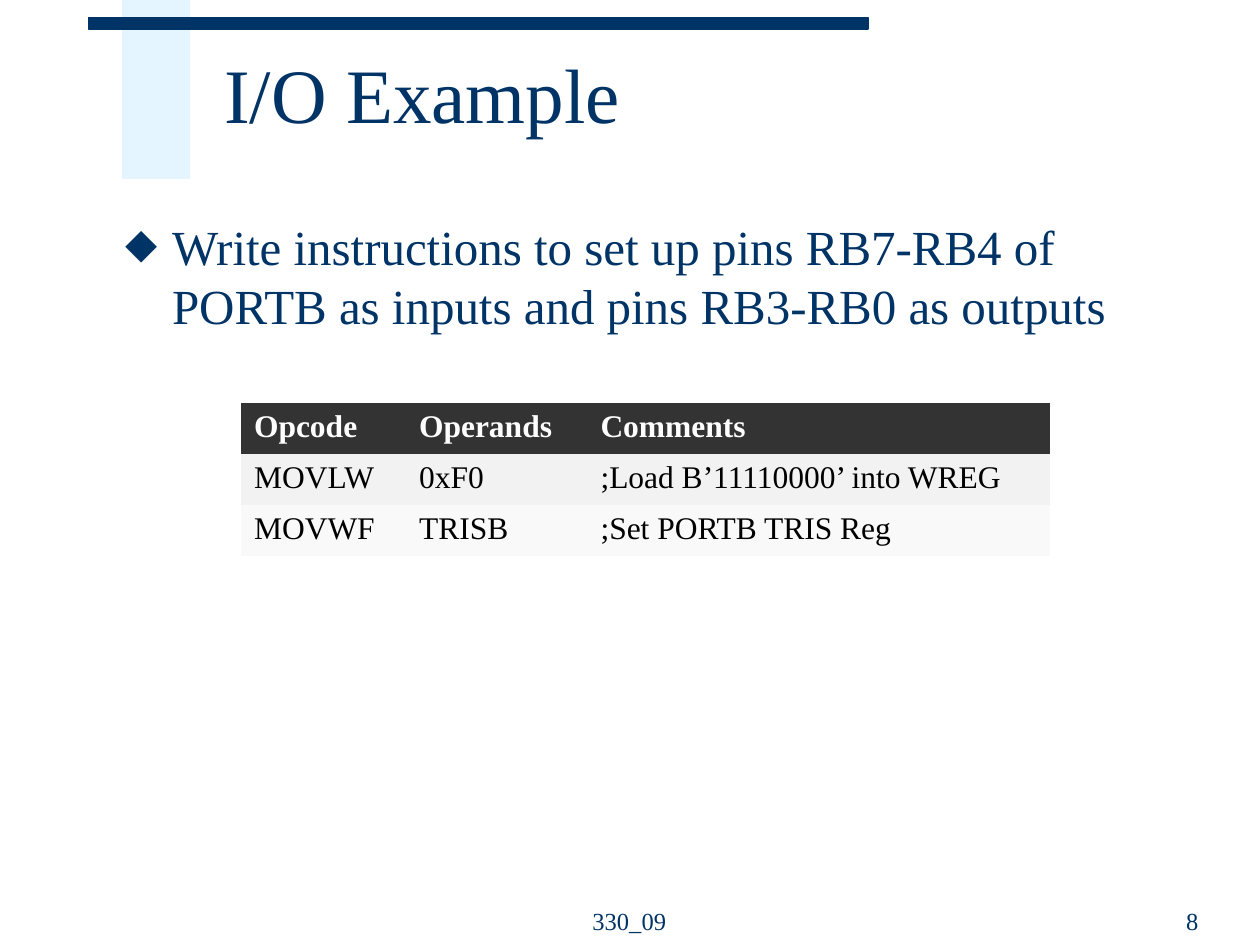
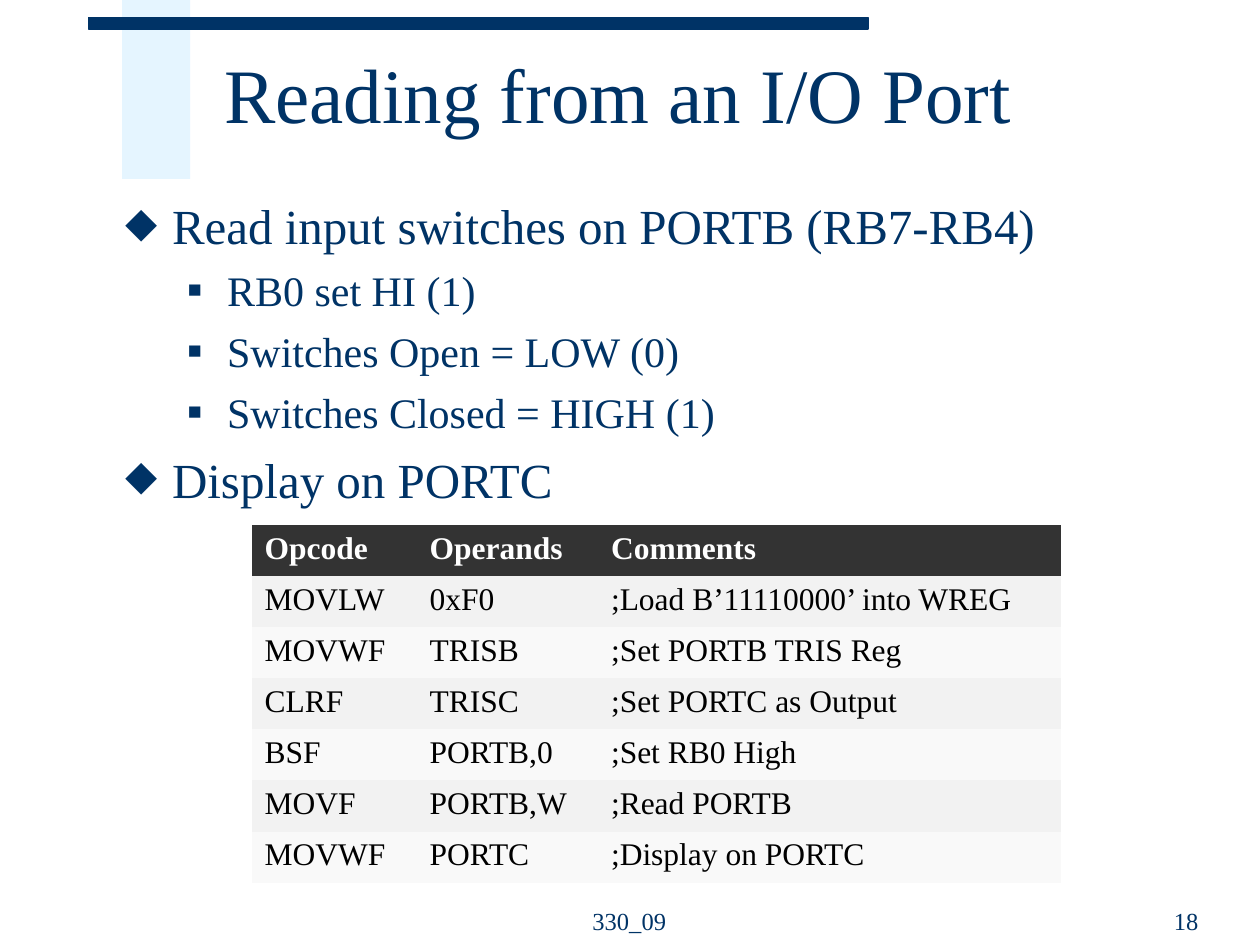
from lxml import etree
from pptx import Presentation, util as u
from pptx.dml import color
from pptx.enum import shapes, text
from pptx.oxml import ns

Pt = u.Pt
NAVY, PALE_BLUE, WHITE, BLACK = "003366", "CCECFF", "FFFFFF", "000000"
HEADER_FILL, ROW_FILLS = "333333", ("F2F2F2", "F9F9F9")
FONT = "Times New Roman"
NO_TABLE_STYLE = "{2D5ABB26-0587-4C30-8999-92F81FD0307C}"
COLUMN_WIDTHS, ROW_HEIGHT = (94.32, 103.68, 264.24), 29.2
LIST_LEVELS = (
    dict(size=28, before=7, margin=27, indent=-27, bullet="⬥", scale=100),
    dict(size=24, before=6, margin=58.5, indent=-22.5, bullet="■", scale=55),
)
COLUMN_TITLES = ("Opcode", "Operands", "Comments")
PORTB_SETUP = (
    ("MOVLW", "0xF0", ";Load B’11110000’ into WREG"),
    ("MOVWF", "TRISB", ";Set PORTB TRIS Reg"),
)
PORTB_READING = PORTB_SETUP + (
    ("CLRF", "TRISC", ";Set PORTC as Output"),
    ("BSF", "PORTB,0", ";Set RB0 High"),
    ("MOVF", "PORTB,W", ";Read PORTB"),
    ("MOVWF", "PORTC", ";Display on PORTC"),
)


def rgb(value):
    return color.RGBColor.from_string(value)


def paint(fill, value):
    fill.solid()
    fill.fore_color.rgb = rgb(value)


def write(paragraph, words, size=18, ink=NAVY, bold=False, align=text.PP_ALIGN.LEFT):
    run = paragraph.add_run()
    run.text = words
    run.font.name, run.font.size, run.font.bold = FONT, Pt(size), bold
    run.font.color.rgb = rgb(ink)
    paragraph.alignment = align


def add_bullet(paragraph, level):
    properties = paragraph._p.get_or_add_pPr()
    properties.set("marL", str(Pt(level["margin"])))
    properties.set("indent", str(Pt(level["indent"])))
    bullet_color = etree.SubElement(properties, ns.qn("a:buClr"))
    etree.SubElement(bullet_color, ns.qn("a:srgbClr"), val=NAVY)
    etree.SubElement(properties, ns.qn("a:buSzPct"), val=str(level["scale"] * 1000))
    etree.SubElement(properties, ns.qn("a:buFont"), typeface=FONT)
    etree.SubElement(properties, ns.qn("a:buChar"), char=level["bullet"])


class Lecture:
    """Holds the lecture style and the slide being built."""

    def __init__(self):
        self.presentation = Presentation()
        self.presentation.slide_width = Pt(720)
        self.presentation.slide_height = Pt(540)
        self.slide = None

    def start_slide(self, title, number):
        layout = self.presentation.slide_layouts[1]
        self.slide = self.presentation.slides.add_slide(layout)
        self.band(69.84, 0, 38.88, 102.24, PALE_BLUE, opacity=50)
        self.band(50.4, 10.08, 445.68, 6.48, NAVY, outlined=True)
        self.title(title)
        self.footer("330_09", 293.76, 131.76, text.PP_ALIGN.CENTER)
        self.footer(number, 519.12, 172.8, text.PP_ALIGN.RIGHT)

    def band(self, left, top, width, height, fill, opacity=100, outlined=False):
        shape = self.slide.shapes.add_shape(
            shapes.MSO_SHAPE.RECTANGLE, Pt(left), Pt(top), Pt(width), Pt(height))
        shape.shadow.inherit = False
        paint(shape.fill, fill)
        if opacity < 100:
            tint = next(shape.element.spPr.iter(ns.qn("a:srgbClr")))
            etree.SubElement(tint, ns.qn("a:alpha"), val=str(opacity * 1000))
        if outlined:
            paint(shape.line.fill, fill)
            shape.line.width = Pt(0.75)
        else:
            shape.line.fill.background()

    def place(self, shape, left, top, width, height, anchor):
        shape.left, shape.top = Pt(left), Pt(top)
        shape.width, shape.height = Pt(width), Pt(height)
        self.slide.shapes.element.append(shape.element)
        frame = shape.text_frame
        frame.word_wrap = True
        frame.auto_size = text.MSO_AUTO_SIZE.NONE
        frame.vertical_anchor = anchor
        return frame

    def title(self, words):
        frame = self.place(self.slide.shapes.title, 120.96, 12.24, 581.04, 90,
                           text.MSO_ANCHOR.MIDDLE)
        write(frame.paragraphs[0], words, size=44)
        frame.paragraphs[0].line_spacing = 0.85

    def bullets(self, top, items):
        frame = self.place(self.slide.placeholders[1], 64.08, top, 626.4, 360,
                           text.MSO_ANCHOR.TOP)
        for index, (depth, words) in enumerate(items):
            paragraph = frame.add_paragraph() if index else frame.paragraphs[0]
            level = LIST_LEVELS[depth]
            paragraph.level = depth
            write(paragraph, words, size=level["size"])
            paragraph.space_before = Pt(level["before"])
            add_bullet(paragraph, level)

    def footer(self, words, left, width, align):
        box = self.slide.shapes.add_textbox(0, 0, 0, 0)
        frame = self.place(box, left, 501.84, width, 36, text.MSO_ANCHOR.BOTTOM)
        write(frame.paragraphs[0], words, size=14, align=align)

    def code_table(self, left, top, instructions):
        rows = (COLUMN_TITLES,) + instructions
        shape = self.slide.shapes.add_table(
            len(rows), len(COLUMN_WIDTHS), Pt(left), Pt(top),
            Pt(sum(COLUMN_WIDTHS)), Pt(ROW_HEIGHT * len(rows)))
        next(shape.element.iter(ns.qn("a:tableStyleId"))).text = NO_TABLE_STYLE
        table = shape.table
        table.horz_banding = False
        for column, width in zip(table.columns, COLUMN_WIDTHS):
            column.width = Pt(width)
        for index, entries in enumerate(rows):
            table.rows[index].height = Pt(ROW_HEIGHT)
            heading = index == 0
            for cell, words in zip(table.rows[index].cells, entries):
                paint(cell.fill, HEADER_FILL if heading else ROW_FILLS[(index - 1) % 2])
                write(cell.text_frame.paragraphs[0], words,
                      ink=WHITE if heading else BLACK, bold=heading)


def main():
    lecture = Lecture()

    lecture.start_slide("I/O Example", "8")
    lecture.bullets(120.24, [
        (0, "Write instructions to set up pins RB7-RB4 of PORTB as inputs "
            "and pins RB3-RB0 as outputs"),
    ])
    lecture.code_table(138, 230.4, PORTB_SETUP)

    lecture.start_slide("Reading from an I/O Port", "18")
    lecture.bullets(108, [
        (0, "Read input switches on PORTB (RB7-RB4)"),
        (1, "RB0 set HI (1)"),
        (1, "Switches Open = LOW (0)"),
        (1, "Switches Closed = HIGH (1)"),
        (0, "Display on PORTC"),
    ])
    lecture.code_table(144, 300, PORTB_READING)

    lecture.presentation.save("out.pptx")


if __name__ == "__main__":
    main()
